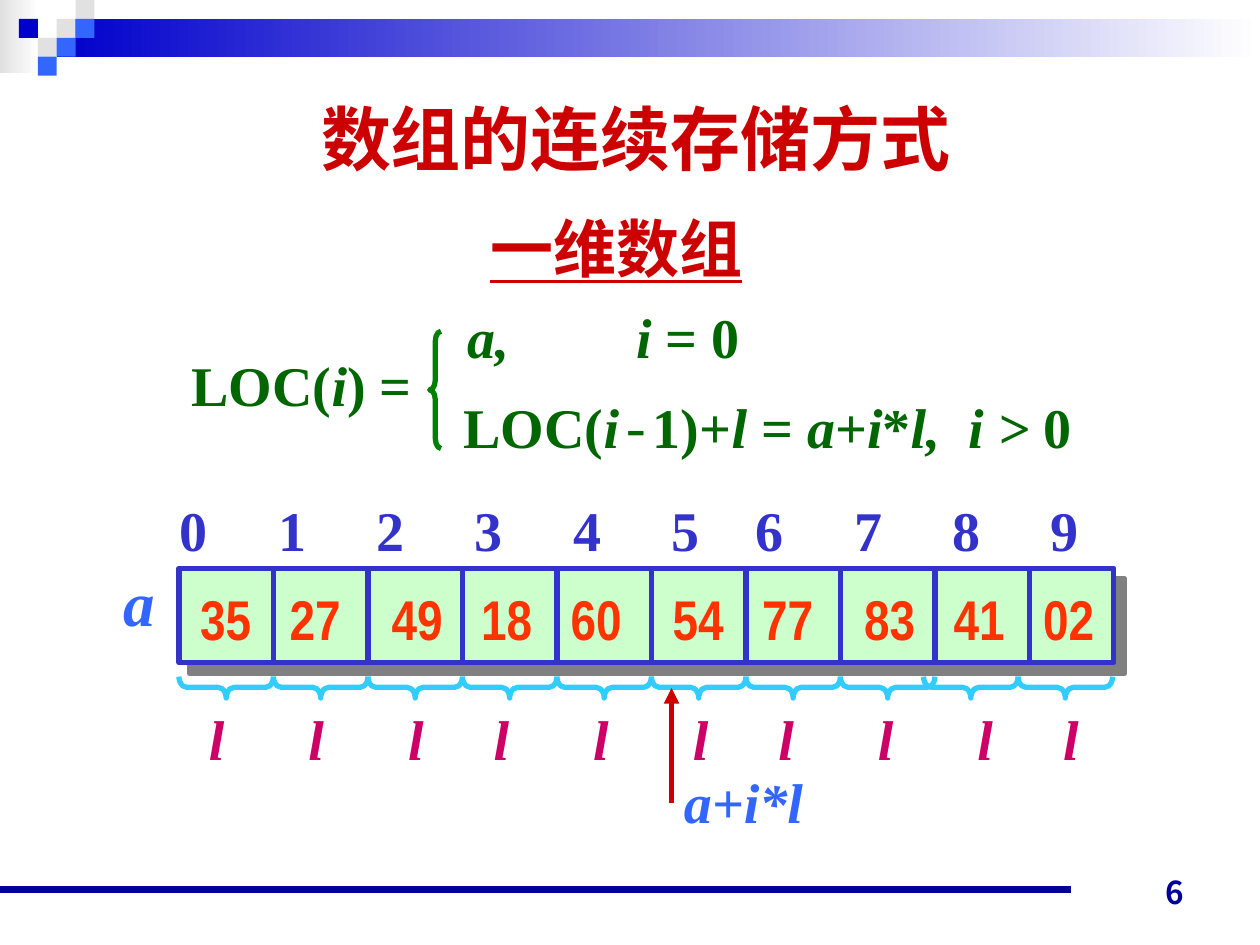
"""Build the slide on contiguous storage of a one-dimensional array."""
from itertools import accumulate
from typing import NamedTuple

from lxml import etree
from pptx import Presentation
from pptx import util as u
from pptx.dml.color import RGBColor
from pptx.enum import shapes, text
from pptx.oxml import ns

PITCH = 0.75
LEFT, TOP, CELLS = 1.42, 4.51, 10
SERIF = "Times New Roman"
GREEN, BLUE, SKY, RED = "006600", "3333CC", "3366FF", "CC0000"
KIND = shapes.MSO_SHAPE


class Box(NamedTuple):
    x: float
    y: float
    w: float
    h: float

    def emu(self) -> list:
        return [u.Inches(v) for v in self]


class Row(NamedTuple):
    x: float
    y: float
    items: list
    gaps: list
    style: dict


def rgb(code: str) -> RGBColor:
    return RGBColor.from_string(code)


def node(parent, tag: str, **attrs):
    return etree.SubElement(parent, ns.qn(tag), **attrs)


def write(frame, words: str, *, size=32, font=SERIF, color=GREEN, under=False,
          align=text.PP_ALIGN.LEFT, anchor=text.MSO_ANCHOR.TOP, before=0):
    """Fill a frame; underscores switch italics on and off."""
    frame.word_wrap = True
    frame.auto_size = text.MSO_AUTO_SIZE.NONE
    frame.vertical_anchor = anchor
    para = frame.paragraphs[0]
    para.alignment = align
    para.space_before = u.Pt(before)
    prop = para._p.get_or_add_pPr()
    prop.set("marL", "0")
    prop.set("indent", "0")
    node(prop, "a:buNone")
    for i, part in enumerate(words.split("_")):
        if not part:
            continue
        run = para.add_run()
        run.text = part
        dash = part == "-"
        run.font.name = "Courier New" if dash else font
        run.font.size = u.Pt(size)
        run.font.bold = not dash
        run.font.italic = i % 2 == 1
        run.font.underline = under
        run.font.color.rgb = rgb(color)


def label(slide, box: Box, words: str, **style):
    write(slide.shapes.add_textbox(*box.emu()).text_frame, words, **style)


def hold(shape, box: Box, words: str, **style):
    shape.left, shape.top, shape.width, shape.height = box.emu()
    write(shape.text_frame, words, **style)


def block(slide, box: Box, color: str, end: str = ""):
    shape = slide.shapes.add_shape(KIND.RECTANGLE, *box.emu())
    shape.shadow.inherit = False
    shape.line.fill.background()
    if end:
        shape.fill.gradient()
        shape.fill.gradient_angle = 0
        for stop, code in zip(shape.fill.gradient_stops, (color, end)):
            stop.color.rgb = rgb(code)
    else:
        shape.fill.solid()
        shape.fill.fore_color.rgb = rgb(color)
    return shape


def line(slide, start: tuple, stop: tuple, color: str, width=3.0, arrow=False):
    ends = [u.Inches(v) for v in (*start, *stop)]
    link = slide.shapes.add_connector(shapes.MSO_CONNECTOR.STRAIGHT, *ends)
    link.line.color.rgb = rgb(color)
    link.line.width = u.Pt(width)
    if arrow:
        node(link.line._get_or_add_ln(), "a:tailEnd", type="triangle")
    node(link._element.spPr, "a:effectLst")


def brace(slide, box: Box, color: str, curve: float, turn=0):
    shape = slide.shapes.add_shape(KIND.LEFT_BRACE, *box.emu())
    shape.shadow.inherit = False
    shape.adjustments[0] = curve
    shape.rotation = turn
    shape.fill.background()
    shape.line.color.rgb = rgb(color)
    shape.line.width = u.Pt(3)


def banner(slide):
    side = 0.15
    block(slide, Box(0, 0, 0.31, 0.58), "E1E1E1", "FFFFFF")
    block(slide, Box(0.45, side, 9.55, 0.3), "0000CC", "FFFFFF")
    tiles = {"E1E1E1": [(3, 1), (4, 0), (2, 2)],
             SKY: [(4, 1), (3, 2), (2, 3)], "0000CC": [(1, 1)]}
    for color, spots in tiles.items():
        for col, row in spots:
            block(slide, Box(col * side, row * side, side, side), color)
    line(slide, (0, 7.06), (8.5, 7.06), "000099", 4.5)
    label(slide, Box(7.17, 6.78, 2.33, 0.5), "6", size=18, color="000099",
          font="Noto Sans CJK JP", align=text.PP_ALIGN.RIGHT,
          anchor=text.MSO_ANCHOR.BOTTOM)


def formula(slide):
    brace(slide, Box(3.41, 2.63, 0.09, 0.93), "008000", 0.87)
    label(slide, Box(1.42, 2.73, 2.25, 0.64), "LOC(_i_) =")
    label(slide, Box(3.58, 3.07, 5.75, 0.64),
          "LOC(_i_-__1)+_l_ = _a_+_i_*_l,  i >_ 0")
    label(slide, Box(3.61, 2.35, 0.7, 0.64), "_a,_")
    label(slide, Box(4.95, 2.35, 1.4, 0.64), "_i_ = 0")


def array(slide):
    frame = block(slide, Box(LEFT, TOP, CELLS * PITCH - 0.08, PITCH), "CCFFCC")
    frame.line.color.rgb = rgb(BLUE)
    frame.line.width = u.Pt(3)
    glow = node(frame._element.spPr.find(ns.qn("a:effectLst")), "a:outerShdw",
                dist=str(u.Pt(8.5)), dir="2700000", algn="ctr", rotWithShape="0")
    node(glow, "a:srgbClr", val="808080")
    for i in range(1, CELLS):
        x = LEFT + i * PITCH
        line(slide, (x, TOP), (x, TOP + PITCH), BLUE)
    for i in range(CELLS):
        x = LEFT + i * PITCH - (0.09 if i > 7 else 0)
        brace(slide, Box(x + 0.29, 5.08, 0.17, PITCH), "33CCFF", 0.37, 270)

    near, far = 0.71, 0.81
    rows = [
        Row(1.49, 4.59, "35 27 49 18 60 54 77 83 41 02".split(),
            [near, far, near, near, far, near, far, near, near],
            dict(font="Arial Narrow", color="FF3300")),
        Row(1.33, 3.88, [str(i) for i in range(CELLS)],
            [0.78] * 5 + [0.67] + [0.78] * 3, dict(color=BLUE)),
        Row(1.56, 5.54, ["_l_"] * CELLS,
            [0.79, 0.79, 0.68] * 3, dict(color="CC0066")),
    ]
    for row in rows:
        for x, item in zip(accumulate(row.gaps, initial=row.x), row.items):
            label(slide, Box(x, row.y, 0.7, 0.64), item, **row.style)
    line(slide, (5.33, 6.37), (5.33, 5.46), RED, arrow=True)
    label(slide, Box(5.33, 6.04, 1.3, 0.64), "_a+i*l_", color=SKY)
    label(slide, Box(0.88, 4.42, 0.5, 0.7), "_a_", size=36, color=SKY)


def main():
    deck = Presentation()
    deck.slide_width, deck.slide_height = u.Inches(10), u.Inches(7.5)
    slide = deck.slides.add_slide(deck.slide_layouts[1])
    head, body = slide.placeholders
    look = dict(font="Arial", color=RED, align=text.PP_ALIGN.CENTER)
    banner(slide)
    hold(head, Box(2.42, 0.61, 5.25, 0.97), "数组的连续存储方式", size=40,
         anchor=text.MSO_ANCHOR.MIDDLE, **look)
    hold(body, Box(3.1, 1.61, 3.58, 0.75), "一维数组", size=36, under=True,
         before=9, **look)
    formula(slide)
    array(slide)
    deck.save("out.pptx")


if __name__ == "__main__":
    main()
